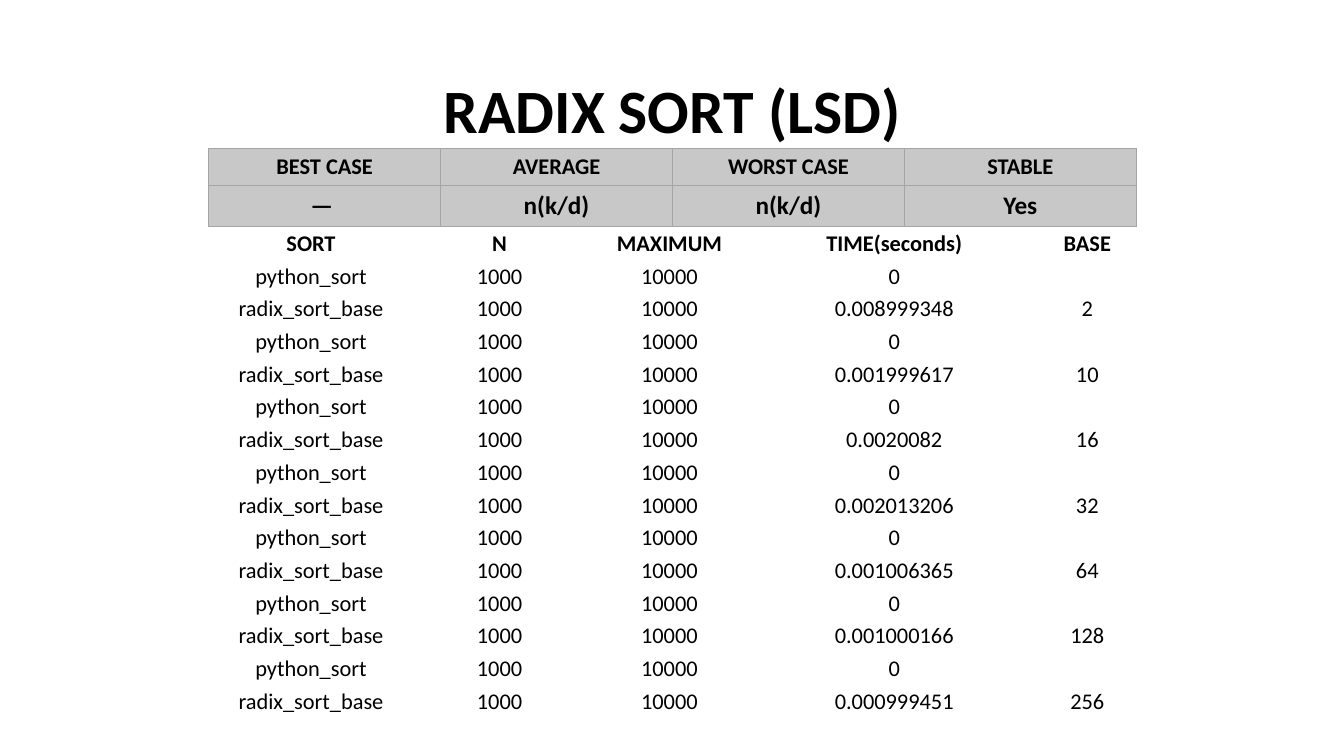
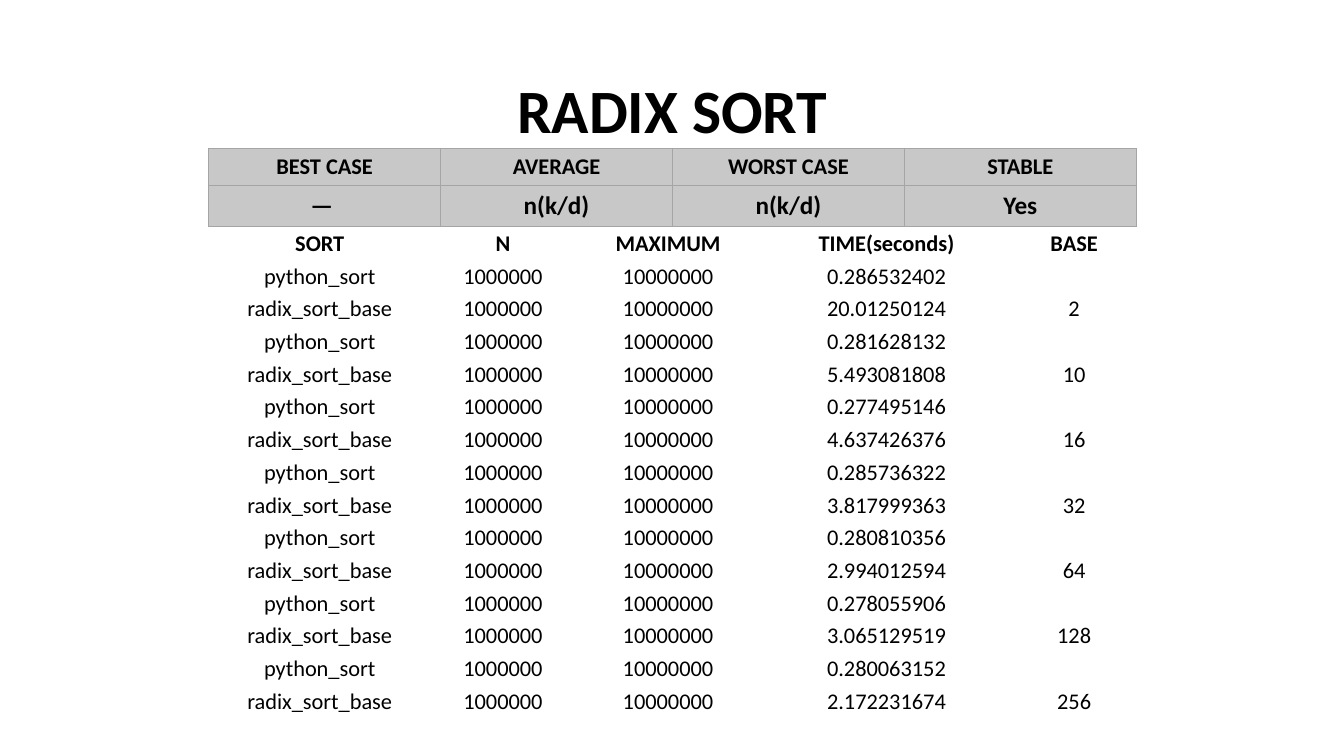
import pptx
import pptx.dml.color
import pptx.enum.text
import pptx.oxml
import pptx.oxml.ns
import pptx.util

Inches = pptx.util.Inches
ALIGN = pptx.enum.text.PP_ALIGN
ANCHOR = pptx.enum.text.MSO_ANCHOR

BASES = [2, 10, 16, 32, 64, 128, 256]
DATA_HEADER = ["SORT", "N", "MAXIMUM", "TIME(seconds)", "BASE"]
DATA_COLUMNS = [2.37, 1.37, 2, 2.46, 1.37]
SUMMARY = [["BEST CASE", "AVERAGE", "WORST CASE", "STABLE"],
           ["— ", "n(k/d)", "n(k/d)", "Yes"]]


def colour(code):
    """Turn a hex string into a colour."""
    return pptx.dml.color.RGBColor.from_string(code)


def apply(target, values):
    """Set every attribute named in a dict of format values."""
    for name, value in values.items():
        setattr(target, name, value)


class Deck:
    """Hold the shared style and the current slide."""

    FONT = "Calibri"
    INK = "000000"
    BAND = "C8C8C8"
    RULE = "A5A5A5"
    CELL = {"vertical_anchor": ANCHOR.MIDDLE}
    TIGHT_CELL = {"vertical_anchor": ANCHOR.BOTTOM,
                  "margin_left": Inches(0.01), "margin_right": Inches(0.01),
                  "margin_top": Inches(0.01), "margin_bottom": 0}

    def __init__(self):
        """Start a wide presentation."""
        self.file = pptx.Presentation()
        apply(self.file, {"slide_width": Inches(13.33),
                          "slide_height": Inches(7.5)})
        self.page = None

    def add_page(self, title):
        """Add a slide and fill its title placeholder."""
        self.page = self.file.slides.add_slide(self.file.slide_layouts[5])
        box = self.page.shapes.title
        apply(box, {"left": Inches(0.92), "top": Inches(0.4),
                    "width": Inches(11.5), "height": Inches(1.45)})
        box.text_frame.vertical_anchor = ANCHOR.MIDDLE
        para = box.text_frame.paragraphs[0]
        para.line_spacing = 0.9
        self.add_text(para, title, 44, True)

    def add_text(self, para, text, size, bold):
        """Put centred text in the deck's font into a paragraph."""
        para.alignment = ALIGN.CENTER
        span = para.add_run()
        span.text = text
        apply(span.font, {"name": self.FONT, "size": pptx.util.Pt(size),
                          "bold": bold})
        span.font.color.rgb = colour(self.INK)

    def add_grid(self, left, top, widths, heights):
        """Add a plain table with the given columns and rows, in inches."""
        frame = self.page.shapes.add_table(
            len(heights), len(widths), Inches(left), Inches(top),
            Inches(sum(widths)), Inches(sum(heights)))
        table = frame.table
        apply(table, {"first_row": False, "horz_banding": False})
        for column, width in zip(table.columns, widths):
            column.width = Inches(width)
        for row, height in zip(table.rows, heights):
            row.height = Inches(height)
        return table

    def add_borders(self, cell):
        """Draw a thin line on all four sides of a cell."""
        properties = cell._tc.get_or_add_tcPr()
        for side in "LRTB":
            properties.append(pptx.oxml.parse_xml(
                f'<a:ln{side} {pptx.oxml.ns.nsdecls("a")} w="6350">'
                f'<a:solidFill><a:srgbClr val="{self.RULE}"/></a:solidFill>'
                f'</a:ln{side}>'))

    def add_summary(self):
        """Add the shaded table of complexity by case."""
        table = self.add_grid(2.07, 1.47, [2.3] * 4, [0.37, 0.4])
        for row, texts, size in zip(table.rows, SUMMARY, [16, 18]):
            for cell, text in zip(row.cells, texts):
                apply(cell, self.CELL)
                self.add_borders(cell)
                cell.fill.solid()
                cell.fill.fore_color.rgb = colour(self.BAND)
                self.add_text(cell.text_frame.paragraphs[0], text, size, True)

    def add_timings(self, left, width, rows):
        """Add the unfilled table of measured times."""
        scale = width / sum(DATA_COLUMNS)
        lines = [DATA_HEADER] + rows
        table = self.add_grid(left, 2.23, [w * scale for w in DATA_COLUMNS],
                              [4.87 / len(lines)] * len(lines))
        for index, (row, texts) in enumerate(zip(table.rows, lines)):
            for cell, text in zip(row.cells, texts):
                apply(cell, self.TIGHT_CELL)
                cell.fill.background()
                if text:
                    self.add_text(cell.text_frame.paragraphs[0], text, 16,
                                  index == 0)


def timing_rows(count, maximum, python_times, radix_times):
    """Pair the two sorts' times for every base."""
    rows = []
    for base, python_time, radix_time in zip(BASES, python_times, radix_times):
        rows.append(["python_sort", count, maximum, python_time, ""])
        rows.append(["radix_sort_base", count, maximum, radix_time, str(base)])
    return rows


SMALL_RUN = timing_rows(
    "1000", "10000", ["0"] * len(BASES),
    ["0.008999348", "0.001999617", "0.0020082", "0.002013206",
     "0.001006365", "0.001000166", "0.000999451"])
LARGE_RUN = timing_rows(
    "1000000", "10000000",
    ["0.286532402", "0.281628132", "0.277495146", "0.285736322",
     "0.280810356", "0.278055906", "0.280063152"],
    ["20.01250124", "5.493081808", "4.637426376", "3.817999363",
     "2.994012594", "3.065129519", "2.172231674"])

deck = Deck()
for title, left, width, rows in [("RADIX SORT (LSD)", 1.9, 9.57, SMALL_RUN),
                                 ("RADIX SORT", 2.02, 9.3, LARGE_RUN)]:
    deck.add_page(title)
    deck.add_timings(left, width, rows)
    deck.add_summary()
deck.file.save("out.pptx")
